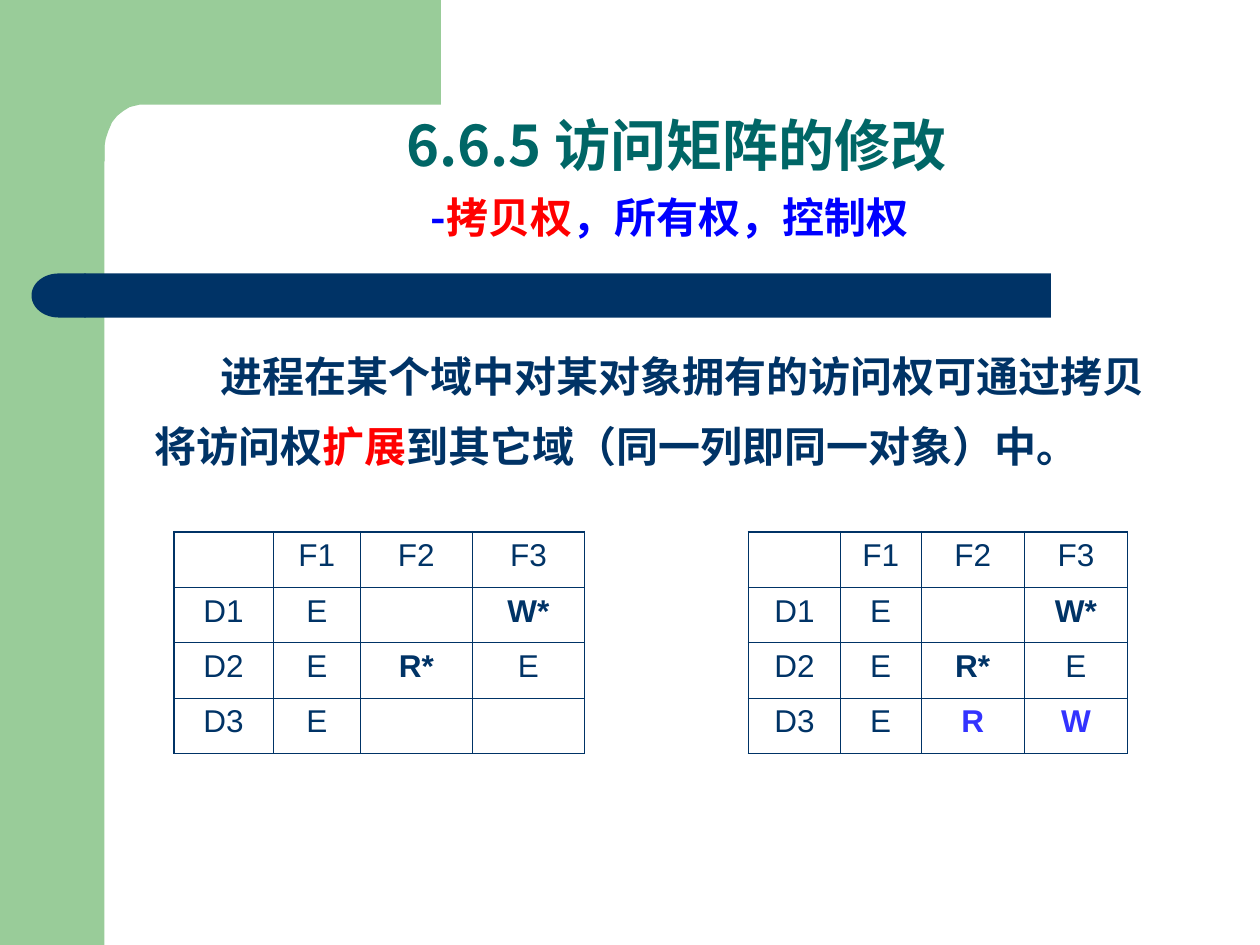
from dataclasses import dataclass

from lxml import etree
from pptx import Presentation
from pptx import util as u
from pptx.dml.color import RGBColor
from pptx.enum import shapes, text
from pptx.oxml.ns import qn

HUES = {"green": "99CC99", "navy": "003366", "teal": "006666",
        "blue": "0000FF", "red": "FF0000", "violet": "3333FF"}
CJK = "Noto Sans CJK SC"
KIND = shapes.MSO_SHAPE


@dataclass
class Block:
    kind: int
    box: tuple
    hue: str
    turn: int = 0


@dataclass
class Grid:
    left: float
    top: float
    cols: tuple
    rows: tuple
    high: float = 0.44


def rgb(hue: str) -> RGBColor:
    return RGBColor.from_string(HUES[hue])


def write(para, words: str, *, size: float = 24, hue: str = "navy",
          bold: bool = True, face: str = CJK) -> None:
    for i, part in enumerate(words.split("\n")):
        if i:
            para.add_line_break()
        if not part:
            continue
        run = para.add_run()
        run.text = part
        font = run.font
        font.size, font.bold, font.name = u.Pt(size), bold, face
        font.color.rgb = rgb(hue)
        east = etree.SubElement(run._r.get_or_add_rPr(), qn("a:ea"))
        east.set("typeface", CJK)


def paint(shape, hue: str) -> None:
    shape.shadow.inherit = False
    shape.fill.solid()
    shape.fill.fore_color.rgb = rgb(hue)
    shape.line.fill.background()


def block(slide, item: Block) -> None:
    shape = slide.shapes.add_shape(item.kind, *map(u.Inches, item.box))
    if item.kind == KIND.ROUNDED_RECTANGLE:
        shape.adjustments[0] = 0
    shape.rotation = item.turn
    paint(shape, item.hue)


def corner(slide, spots: list) -> None:
    pen = slide.shapes.build_freeform(*map(u.Inches, spots[0]), scale=1.0)
    pen.add_line_segments([tuple(map(u.Inches, s)) for s in spots[1:]], close=True)
    paint(pen.convert_to_shape(), "green")


def frame(slide, box: tuple, space: float, anchor):
    body = slide.shapes.add_textbox(*map(u.Inches, box)).text_frame
    body.word_wrap = True
    body.vertical_anchor = anchor
    para = body.paragraphs[0]
    para.line_spacing = space
    return para


def edge(cell, side: str, width: float) -> None:
    line = etree.SubElement(cell._tc.get_or_add_tcPr(), qn(f"a:ln{side}"))
    line.set("w", str(u.Pt(width)))
    fill = etree.SubElement(line, qn("a:solidFill"))
    etree.SubElement(fill, qn("a:srgbClr")).set("val", HUES["navy"])


def grid(slide, item: Grid) -> None:
    deep, wide = len(item.rows), len(item.cols)
    size = (item.left, item.top, sum(item.cols), item.high * deep)
    table = slide.shapes.add_table(deep, wide, *map(u.Inches, size)).table
    table.first_row = table.horz_banding = False
    for col, width in zip(table.columns, item.cols):
        col.width = u.Inches(width)
    for r, row in enumerate(item.rows):
        for c, word in enumerate(row):
            cell = table.cell(r, c)
            outer = {"L": c == 0, "R": c == wide - 1,
                     "T": r == 0, "B": r == deep - 1}
            for side, rim in outer.items():
                edge(cell, side, 1.08 if rim else 0.45)
            cell.fill.background()
            para = cell.text_frame.paragraphs[0]
            para.alignment = text.PP_ALIGN.CENTER
            para.font.size = u.Pt(18)
            write(para, word, size=18, face="Arial",
                  bold=word in ("W*", "R*", "R", "W"),
                  hue="violet" if word in ("R", "W") else "navy")


def main() -> None:
    """Build the access matrix slide."""
    deck = Presentation()
    deck.slide_width, deck.slide_height = u.Inches(10), u.Inches(7.5)
    slide = deck.slides.add_slide(deck.slide_layouts[6])

    block(slide, Block(KIND.RECTANGLE, (0, 0, 0.83, 7.5), "green"))
    corner(slide, [(3.5, 0), (3.5, 0.83), (1.11, 0.83), (1.03, 0.85),
                   (0.98, 0.88), (0.93, 0.92), (0.89, 0.97), (0.86, 1.04),
                   (0.84, 1.1), (0.83, 1.16), (0.83, 1.28), (0.5, 1.28), (0.5, 0)])
    block(slide, Block(KIND.ROUNDED_RECTANGLE, (0.67, 2.17, 7.67, 0.35), "navy"))
    block(slide, Block(KIND.FLOWCHART_DELAY, (0.25, 2.17, 0.43, 0.35), "navy", 180))

    head = frame(slide, (1.06, 0.92, 8.62, 1.09), 0.9, text.MSO_ANCHOR.BOTTOM)
    head.alignment = text.PP_ALIGN.CENTER
    write(head, "6.6.5 访问矩阵的修改\n", size=32, hue="teal")
    write(head, "-", hue="blue")
    write(head, "拷贝权", hue="red")
    write(head, "，所有权，控制权", hue="blue")
    write(head, " ", size=36, hue="blue", bold=False, face="Arial")

    note = frame(slide, (0.75, 2.57, 8.75, 1.25), 1.4, text.MSO_ANCHOR.TOP)
    props = note._p.get_or_add_pPr()
    props.set("marL", str(u.Inches(0.38)))
    props.set("indent", str(u.Inches(0.52)))
    write(note, "进程在某个域中对某对象拥有的访问权可通过拷贝将访问权", face="Arial")
    write(note, "扩展", hue="red", face="Arial")
    write(note, "到其它域（同一列即同一对象）中。", face="Arial")

    rows = (("", "F1", "F2", "F3"), ("D1", "E", "", "W*"), ("D2", "E", "R*", "E"))
    grid(slide, Grid(1.38, 4.22, (0.79, 0.69, 0.89, 0.89),
                     rows + (("D3", "E", "", ""),)))
    grid(slide, Grid(5.94, 4.22, (0.73, 0.64, 0.82, 0.82),
                     rows + (("D3", "E", "R", "W"),)))
    deck.save("out.pptx")


if __name__ == "__main__":
    main()
